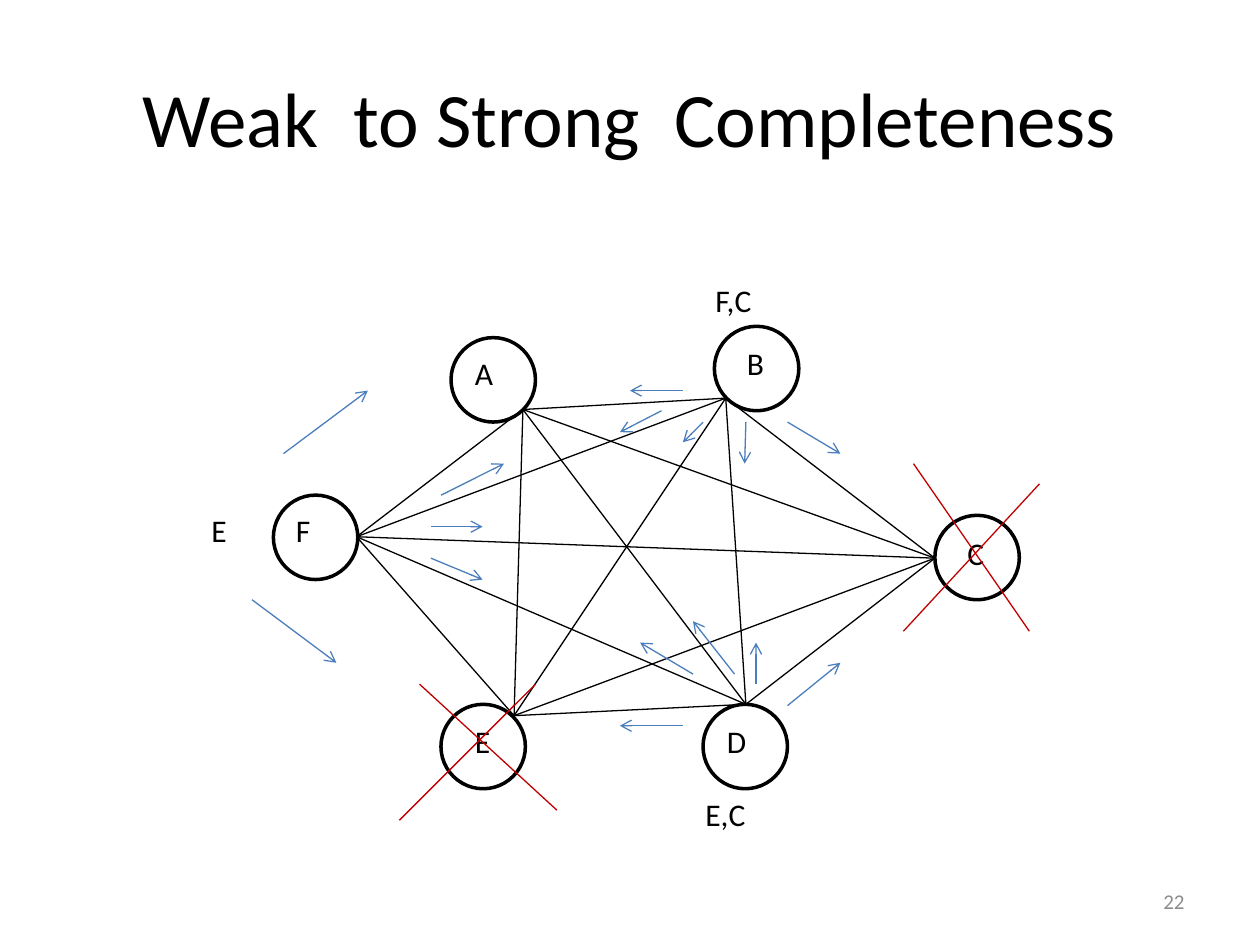
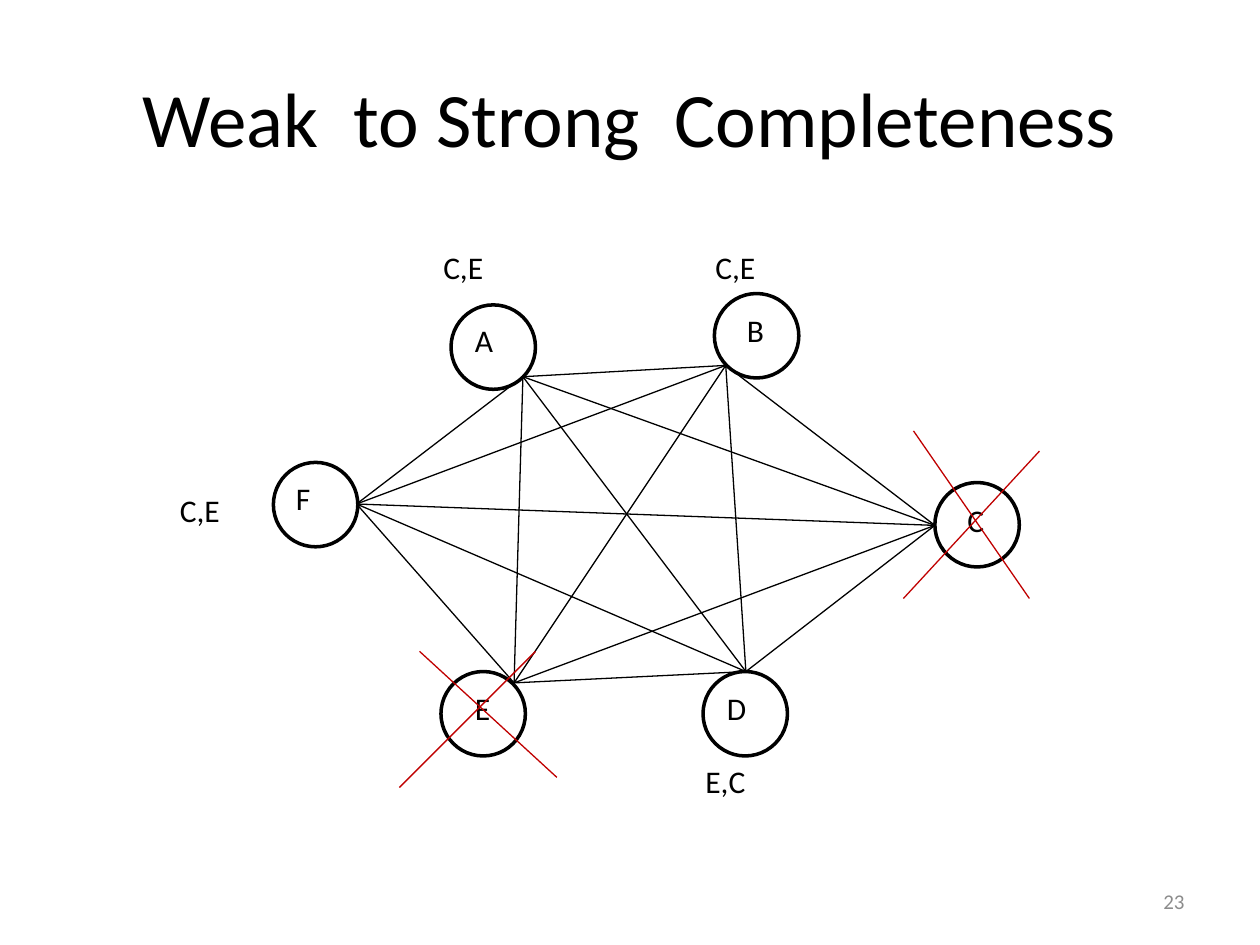
"""Build two slides that turn weak completeness into strong completeness."""
from dataclasses import dataclass
from itertools import combinations
from typing import Any

from lxml import etree
from pptx import Presentation
from pptx.dml.color import RGBColor
from pptx.enum.shapes import MSO_CONNECTOR, MSO_SHAPE
from pptx.enum.text import MSO_ANCHOR, MSO_AUTO_SIZE, PP_ALIGN
from pptx.oxml.ns import qn
from pptx.slide import Slide
from pptx.util import Inches, Pt

BLACK = RGBColor(0x00, 0x00, 0x00)
RED = RGBColor(0xC0, 0x00, 0x00)
BLUE = RGBColor(0x4B, 0x7E, 0xBC)
GREY = RGBColor(0x8C, 0x8C, 0x8C)
OVAL = MSO_SHAPE.OVAL
LINE = MSO_CONNECTOR.STRAIGHT
MIDDLE, TOP = MSO_ANCHOR.MIDDLE, MSO_ANCHOR.TOP
GROW, FIXED = MSO_AUTO_SIZE.SHAPE_TO_FIT_TEXT, MSO_AUTO_SIZE.NONE
LEFT, CENTER, RIGHT = PP_ALIGN.LEFT, PP_ALIGN.CENTER, PP_ALIGN.RIGHT

HEADING = "Weak  to Strong  Completeness"
FIRST = 22
NODE = 0.67
ROW = 0.4


@dataclass(frozen=True)
class Node:
    """A process: its circle corner, line port and letter corner."""
    name: str
    spot: tuple[float, float]
    port: tuple[float, float]
    mark: tuple[float, float]


@dataclass(frozen=True)
class Stroke:
    """A straight line between two points."""
    x1: float
    y1: float
    x2: float
    y2: float


@dataclass(frozen=True)
class Note:
    """A list of suspects beside a process."""
    text: str
    x: float
    y: float
    width: float


@dataclass(frozen=True)
class Page:
    """The parts in which one slide differs from the next."""
    drop: float
    notes: list[Note]
    sends: list[Stroke]


NODES = [
    Node("F", (2.17, 3.67), (2.83, 4.0), (2.25, 3.75)),
    Node("A", (3.58, 2.42), (4.15, 2.99), (3.67, 2.5)),
    Node("E", (3.5, 5.33), (4.08, 5.42), (3.67, 5.42)),
    Node("D", (5.58, 5.33), (5.92, 5.33), (5.67, 5.42)),
    Node("C", (7.42, 3.83), (7.42, 4.17), (7.58, 3.93)),
    Node("B", (5.67, 2.33), (5.76, 2.9), (5.83, 2.42)),
]

CRASHES = [
    Stroke(3.33, 5.17, 4.42, 6.17), Stroke(3.17, 6.25, 4.25, 5.17),
    Stroke(7.25, 3.42, 8.17, 4.75), Stroke(7.17, 4.75, 8.25, 3.58),
]

FROM_F = [
    Stroke(2.25, 3.6, 2.92, 3.1), Stroke(2.0, 4.76, 2.67, 5.26),
    Stroke(3.5, 3.93, 4.0, 3.68), Stroke(3.42, 4.18, 3.83, 4.18),
    Stroke(3.42, 4.43, 3.83, 4.6),
]
FROM_B = [
    Stroke(5.42, 3.1, 5.0, 3.1), Stroke(6.25, 3.35, 6.67, 3.6),
    Stroke(5.58, 3.35, 5.42, 3.51), Stroke(5.25, 3.26, 4.92, 3.43),
    Stroke(5.92, 3.35, 5.91, 3.68),
]
FROM_D = [
    Stroke(5.42, 5.76, 4.92, 5.76), Stroke(6.25, 5.6, 6.67, 5.26),
    Stroke(6.0, 5.43, 6.0, 5.1), Stroke(5.83, 5.35, 5.5, 4.93),
    Stroke(5.5, 5.35, 5.08, 5.1),
]

PAGES = [
    Page(0.26, [Note("E", 1.58, 4.01, 0.58), Note("E,C", 5.5, 6.26, 0.83),
                Note("F,C", 5.58, 2.18, 0.67)], FROM_F + FROM_B + FROM_D),
    Page(0, [Note("E,C", 5.5, 6.0, 0.83), Note("C,E", 1.33, 3.85, 0.83),
             Note("C,E", 5.58, 1.92, 0.67), Note("C,E", 3.42, 1.92, 0.67)], []),
]


def apply(target: Any, values: dict[str, Any]) -> None:
    """Set each named attribute on the target."""
    for name, value in values.items():
        setattr(target, name, value)


def write(shape: Any, text: str, size: int, color: RGBColor = BLACK,
          align: Any = LEFT, anchor: Any = TOP, fit: Any = GROW) -> None:
    """Fill a shape with one formatted paragraph."""
    frame = shape.text_frame
    frame.text = text
    apply(frame, {"word_wrap": True, "auto_size": fit, "vertical_anchor": anchor})
    para = frame.paragraphs[0]
    para.alignment = align
    font = para.runs[0].font
    apply(font, {"name": "Calibri", "size": Pt(size)})
    font.color.rgb = color


def add_label(slide: Slide, text: str, x: float, y: float, width: float) -> None:
    """Add a small text label."""
    box = slide.shapes.add_textbox(Inches(x), Inches(y), Inches(width), Inches(ROW))
    write(box, text, 18)


def add_stroke(slide: Slide, stroke: Stroke, color: RGBColor,
               drop: float = 0, arrow: bool = False) -> None:
    """Draw a thin line, with an open arrowhead if asked."""
    link = slide.shapes.add_connector(
        LINE, Inches(stroke.x1), Inches(stroke.y1 + drop),
        Inches(stroke.x2), Inches(stroke.y2 + drop))
    link.line.color.rgb = color
    link.line.width = Pt(0.75)
    props = link.element.spPr
    if arrow:
        etree.SubElement(props.find(qn("a:ln")), qn("a:tailEnd"), type="arrow")
    etree.SubElement(props, qn("a:effectLst"))


def add_node(slide: Slide, node: Node, drop: float) -> None:
    """Draw a process circle and its letter."""
    x, y = node.spot
    ring = slide.shapes.add_shape(
        OVAL, Inches(x), Inches(y + drop), Inches(NODE), Inches(NODE))
    ring.shadow.inherit = False
    ring.fill.background()
    ring.line.color.rgb = BLACK
    ring.line.width = Pt(2)
    x, y = node.mark
    add_label(slide, node.name, x, y + drop, 0.42)


def add_frame(slide: Slide, number: int) -> None:
    """Set the title and the page number."""
    title = slide.shapes.title
    apply(title, {"left": Inches(0.5), "top": Inches(0.3),
                  "width": Inches(9), "height": Inches(1.25)})
    write(title, HEADING, 44, align=CENTER, anchor=MIDDLE, fit=FIXED)
    box = slide.shapes.add_textbox(
        Inches(7.17), Inches(6.95), Inches(2.33), Inches(ROW))
    write(box, str(number), 12, GREY, RIGHT, MIDDLE, FIXED)


def add_page(slide: Slide, page: Page) -> None:
    """Draw the full mesh, the crashes, the suspects and the messages."""
    for node in NODES:
        add_node(slide, node, page.drop)
    for one, two in combinations(NODES, 2):
        add_stroke(slide, Stroke(*one.port, *two.port), BLACK, page.drop)
    for stroke in CRASHES:
        add_stroke(slide, stroke, RED, page.drop)
    for note in page.notes:
        add_label(slide, note.text, note.x, note.y, note.width)
    for stroke in page.sends:
        add_stroke(slide, stroke, BLUE, arrow=True)


def main() -> None:
    """Build and save the deck."""
    deck = Presentation()
    apply(deck, {"slide_width": Inches(10), "slide_height": Inches(7.5)})
    for number, page in enumerate(PAGES, FIRST):
        slide = deck.slides.add_slide(deck.slide_layouts[5])
        add_frame(slide, number)
        add_page(slide, page)
    deck.save("out.pptx")


if __name__ == "__main__":
    main()
